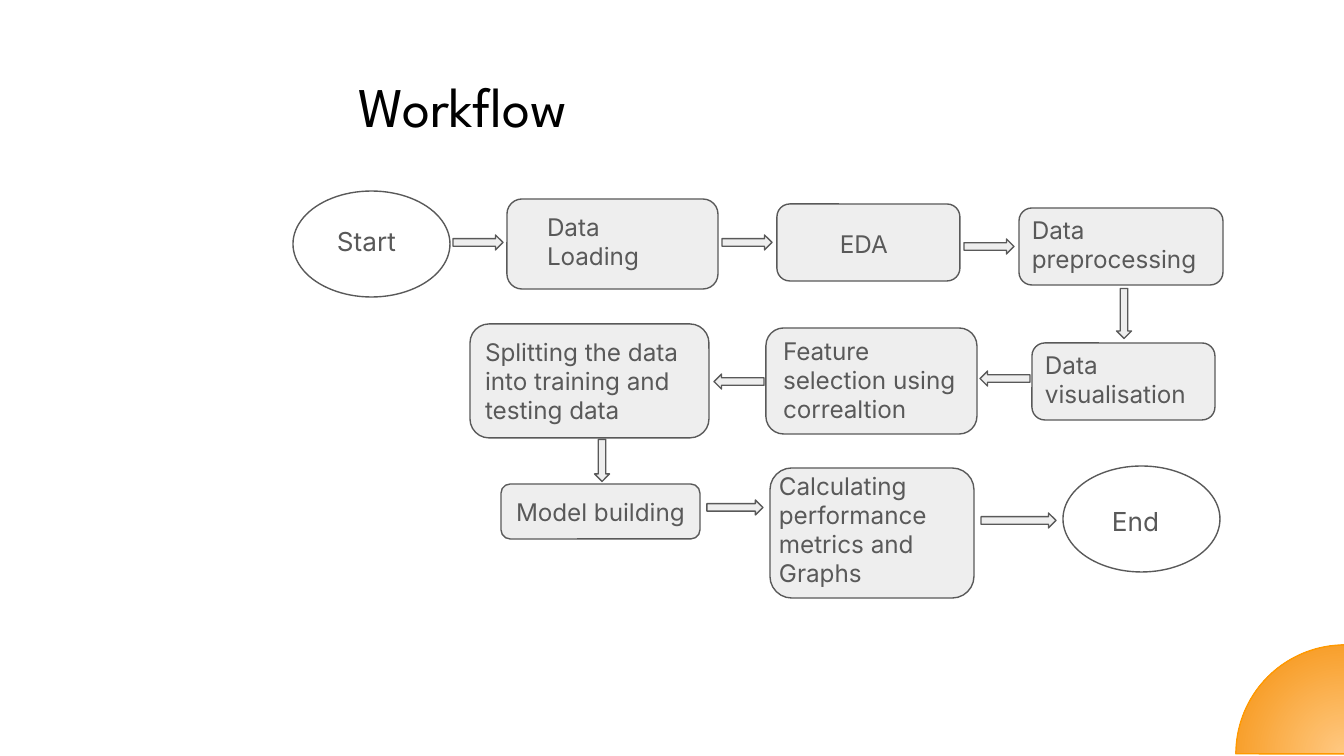
from lxml import etree
from pptx import Presentation
from pptx import util as u
from pptx.dml.color import RGBColor
from pptx.enum import shapes, text
from pptx.oxml import ns

SCALE = 914400 / 134.4  # EMU per px
SHAPE = shapes.MSO_SHAPE
GREY, PALE, WHITE = "595959", "EEEEEE", "FFFFFF"
INSET = 13
ARROW_HEIGHT = 15

# Label, box (left, top, width, height), label box relative to that box
STAGES = [
    ("Data Loading", (214, 8, 211, 90), (27, 0, 164, 40)),
    ("EDA", (484, 13, 183, 77), (50, 12, 91, 40)),
    ("Data preprocessing", (726, 17, 204, 77), (0, -6, 211, 77)),
    ("Data visualisation", (739, 152, 183, 77), (0, -6, 183, 77)),
    ("Feature selection using correaltion", (473, 137, 211, 106), (4, -5, 204, 106)),
    ("Splitting the data into training and testing data",
     (177, 133, 239, 114), (2, 0, 239, 106)),
    ("Model building", (208, 293, 199, 55), (2, 0, 228, 55)),
    ("Calculating performance metrics and Graphs",
     (477, 277, 204, 130), (-4, -10, 211, 106)),
]
TERMINALS = [
    ("Start", (0, 0, 157, 106), (31, 21, 91, 40)),
    ("End", (770, 275, 157, 106), (36, 26, 82, 40)),
]
# Left, top, length, rotation
ARROWS = [
    (160, 44, 50, 0), (429, 44, 50, 0), (671, 48, 50, 0),
    (806, 115, 50, 90), (687, 180, 50, 180), (421, 183, 50, 180),
    (288, 262, 42, 90), (414, 309, 56, 0), (688, 322, 75, 0),
]


def px(n):
    return u.Emu(round(n * SCALE))


def color(hex_value):
    return RGBColor.from_string(hex_value)


def within(box, part):
    """Move a part given relative to a box onto the slide."""
    left, top, width, height = part
    return box[0] + left, box[1] + top, width, height


def add_outlined(slide, kind, box, fill, line):
    shape = slide.shapes.add_shape(kind, *map(px, box))
    shape.shadow.inherit = False
    shape.fill.solid()
    shape.fill.fore_color.rgb = color(fill)
    shape.line.color.rgb = color(line)
    shape.line.width = u.Pt(0.75)
    return shape


def add_label(slide, words, box, size, font="Inter", ink=GREY,
              align=text.PP_ALIGN.LEFT, anchor=text.MSO_ANCHOR.TOP):
    frame = slide.shapes.add_textbox(*map(px, box)).text_frame
    frame.word_wrap = True
    frame.vertical_anchor = anchor
    frame.margin_left = frame.margin_right = px(INSET)
    frame.margin_top = frame.margin_bottom = px(INSET)
    paragraph = frame.paragraphs[0]
    paragraph.alignment = align
    run = paragraph.add_run()
    run.text = words
    run.font.name = font
    run.font.size = u.Pt(size)
    run.font.color.rgb = color(ink)


def add_corner_sun(slide, box):
    sun = add_outlined(slide, SHAPE.PIE, box, "F58F09", "FF9900")
    sun.adjustments[0] = 108.044
    sun.adjustments[1] = 162
    # Radial gradient, pale at the centre
    sun.fill.gradient()
    for stop, shade in zip(sun.fill.gradient_stops, ("FFC982", "F58F09")):
        stop.color.rgb = color(shade)
    gradient = sun.element.spPr.find(ns.qn("a:gradFill"))
    for linear in gradient.findall(ns.qn("a:lin")):
        gradient.remove(linear)
    radial = etree.SubElement(gradient, ns.qn("a:path"), path="circle")
    etree.SubElement(radial, ns.qn("a:fillToRect"),
                     dict.fromkeys("ltrb", "50000"))


def add_title(slide, box):
    add_label(slide, "Workflow", box, 30, "League Spartan", "000000",
              text.PP_ALIGN.CENTER, text.MSO_ANCHOR.MIDDLE)


def add_flowchart(slide, box):
    # Stages and terminals
    for steps, kind, fill, size in (
        (STAGES, SHAPE.ROUNDED_RECTANGLE, PALE, 13),
        (TERMINALS, SHAPE.OVAL, WHITE, 14),
    ):
        for words, step, label in steps:
            step_box = within(box, step)
            add_outlined(slide, kind, step_box, fill, GREY)
            add_label(slide, words, within(step_box, label), size)

    # Block arrows between steps
    for left, top, length, rotation in ARROWS:
        arrow_box = within(box, (left, top, length, ARROW_HEIGHT))
        arrow = add_outlined(slide, SHAPE.RIGHT_ARROW, arrow_box, PALE, GREY)
        arrow.rotation = rotation


def main():
    deck = Presentation()
    deck.slide_width, deck.slide_height = px(1344), px(756)
    slide = deck.slides.add_slide(deck.slide_layouts[6])
    slide.background.fill.solid()
    slide.background.fill.fore_color.rgb = color(WHITE)
    add_corner_sun(slide, (1236, 645, 218, 218))
    add_title(slide, (199, 58, 528, 95))
    add_flowchart(slide, (293, 191, 930, 407))
    deck.save("out.pptx")


if __name__ == "__main__":
    main()
